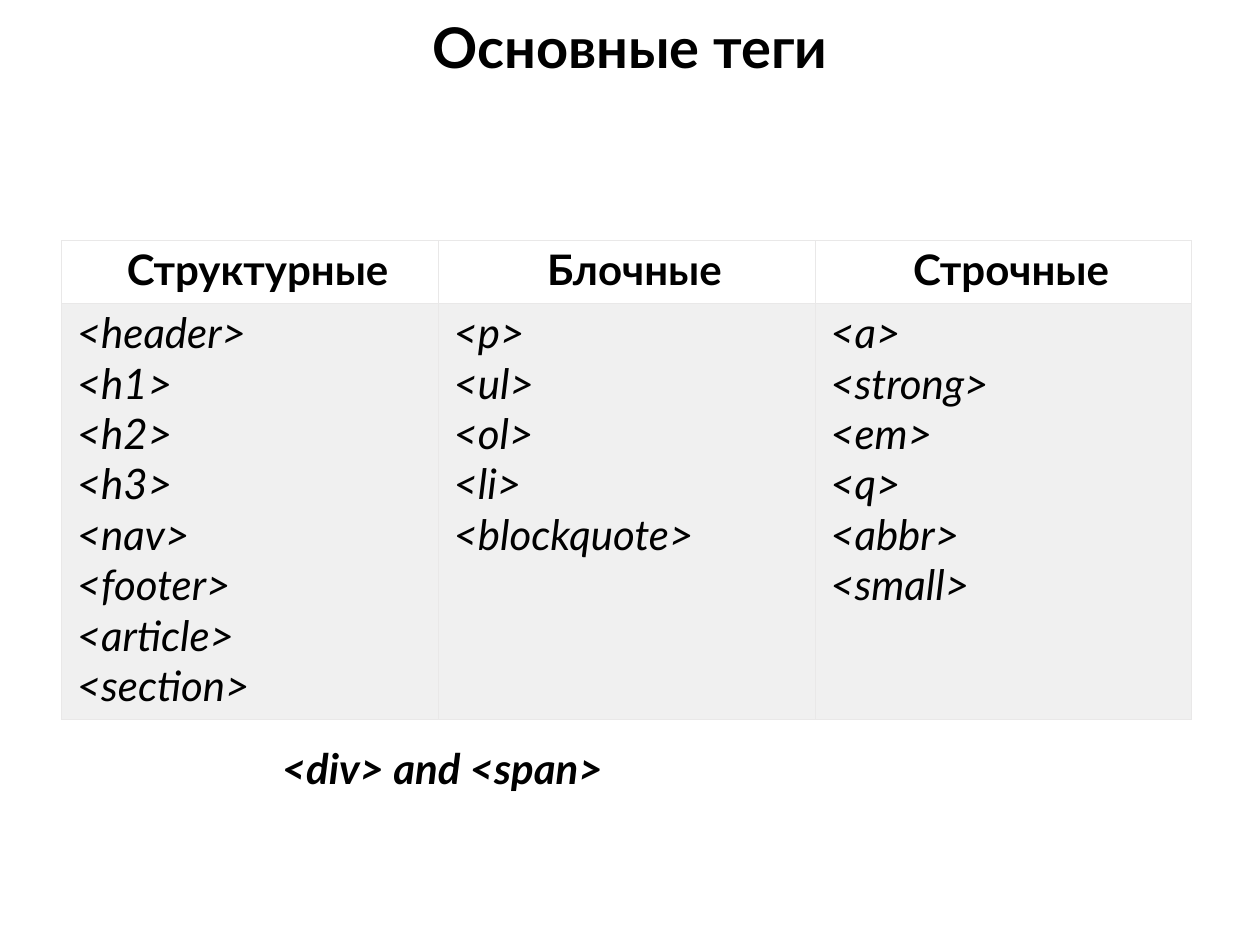
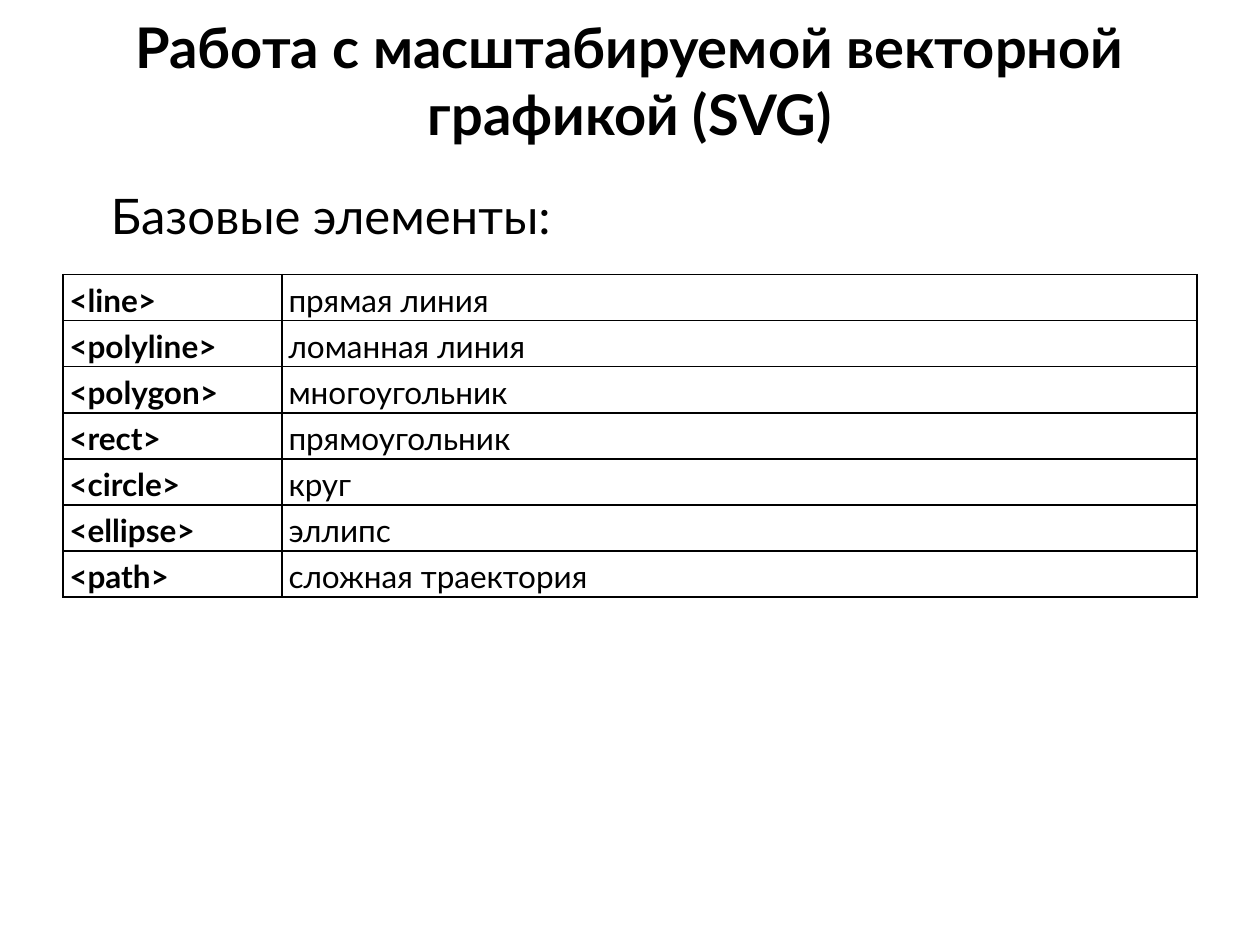
import pptx
import pptx.util
import pptx.dml.color
import pptx.enum.text
import pptx.oxml
import pptx.oxml.ns
from pptx.util import Inches

BLACK = pptx.dml.color.RGBColor(0x00, 0x00, 0x00)
PALE_GREY = pptx.dml.color.RGBColor(0xF0, 0xF0, 0xF0)
BORDER_GREY = pptx.dml.color.RGBColor(0xE9, 0xE8, 0xE8)
FONT = "Lato"
CENTER = pptx.enum.text.PP_ALIGN.CENTER
LEFT = pptx.enum.text.PP_ALIGN.LEFT

TAG_GROUPS = {
    "Структурные": ["<header>", "<h1>", "<h2>", "<h3>", "<nav>", "<footer>",
                    "<article>", "<section>"],
    "Блочные": ["<p>", "<ul>", "<ol>", "<li>", "<blockquote>"],
    "Строчные": ["<a>", "<strong>", "<em>", "<q>", "<abbr>", "<small>"],
}
SVG_ELEMENTS = [
    ("<line>", "прямая линия"),
    ("<polyline>", "ломанная линия"),
    ("<polygon>", "многоугольник"),
    ("<rect>", "прямоугольник"),
    ("<circle>", "круг"),
    ("<ellipse>", "эллипс"),
    ("<path>", "сложная траектория"),
]


def write_lines(frame, lines, size, bold=False, italic=False, align=LEFT,
                space_before=0, line_spacing=None):
    frame.text = "\n".join(lines)
    for para in frame.paragraphs:
        para.alignment = align
        para.line_spacing = line_spacing
        para.font.name = FONT
        para.font.size = pptx.util.Pt(size)
        para.font.bold = bold
        para.font.italic = italic
        para.font.color.rgb = BLACK
    frame.paragraphs[0].space_before = pptx.util.Pt(space_before)


def set_margins(target, left, top, right, bottom):
    target.margin_left, target.margin_top = Inches(left), Inches(top)
    target.margin_right, target.margin_bottom = Inches(right), Inches(bottom)


def add_titled_slide(deck, title, height):
    page = deck.slides.add_slide(deck.slide_layouts[5])
    box = page.shapes.title
    box.left, box.top = Inches(0), Inches(0.05)
    box.width, box.height = deck.slide_width, Inches(height)
    frame = box.text_frame
    frame.word_wrap = True
    frame.auto_size = pptx.enum.text.MSO_AUTO_SIZE.NONE
    frame.vertical_anchor = pptx.enum.text.MSO_ANCHOR.TOP
    write_lines(frame, [title], 32, bold=True, align=CENTER)
    return page


def add_text(page, text, left, top, width, height, size, inset_top, **style):
    box = page.shapes.add_textbox(Inches(left), Inches(top), Inches(width), Inches(height))
    frame = box.text_frame
    frame.word_wrap = True
    set_margins(frame, 0.01, inset_top, 0, 0)
    write_lines(frame, [text], size, **style)


def set_borders(cell, color, width):
    properties = cell._tc.get_or_add_tcPr()
    for index, side in enumerate(("lnL", "lnR", "lnT", "lnB")):
        line = pptx.oxml.parse_xml(
            f'<a:{side} {pptx.oxml.ns.nsdecls("a")} w="{pptx.util.Pt(width)}">'
            f'<a:solidFill><a:srgbClr val="{color}"/></a:solidFill></a:{side}>')
        properties.insert(index, line)


def add_grid(page, left, top, column_widths, row_heights, border_color, border_width):
    frame = page.shapes.add_table(
        len(row_heights), len(column_widths), Inches(left), Inches(top),
        Inches(sum(column_widths)), Inches(sum(row_heights)))
    table = frame.table
    table.first_row = False
    table.horz_banding = False
    for column, width in zip(table.columns, column_widths):
        column.width = Inches(width)
    for row, height in zip(table.rows, row_heights):
        row.height = Inches(height)
    for cell in table.iter_cells():
        cell.fill.background()
        set_borders(cell, border_color, border_width)
    return table


def build_tags_slide(deck):
    page = add_titled_slide(deck, "Основные теги", 0.64)
    table = add_grid(page, 0.49, 1.91, [2.99] * len(TAG_GROUPS), [0.5, 3.3],
                     BORDER_GREY, 0.75)
    for column, (heading, tags) in enumerate(TAG_GROUPS.items()):
        header, body = table.cell(0, column), table.cell(1, column)
        for cell in (header, body):
            set_margins(cell, 0.12, 0.03, 0, 0)
        write_lines(header.text_frame, [heading], 24, bold=True, align=CENTER,
                    space_before=2)
        write_lines(body.text_frame, tags, 24, italic=True, space_before=2.5)
        body.fill.solid()
        body.fill.fore_color.rgb = PALE_GREY
    add_text(page, "<div> and <span>", 0.59, 5.88, 5.83, 0.42, 24, 0.01,
             bold=True, italic=True, align=CENTER, space_before=1)


def build_svg_slide(deck):
    page = add_titled_slide(
        deck, "Работа с масштабируемой векторной графикой (SVG)", 1.18)
    row_count = len(SVG_ELEMENTS)
    table = add_grid(page, 0.5, 2.18, [1.74, 7.26], [2.56 / row_count] * row_count,
                     BLACK, 1)
    for row, texts in enumerate(SVG_ELEMENTS):
        for column, text in enumerate(texts):
            cell = table.cell(row, column)
            set_margins(cell, 0.05, 0.01, 0.05, 0.01)
            write_lines(cell.text_frame, [text], 18, bold=column == 0,
                        line_spacing=1.15)
    add_text(page, "Базовые элементы:", 0.87, 1.39, 8.27, 0.52, 28, 0.07,
             space_before=5.3, line_spacing=pptx.util.Pt(34.6))


def main():
    deck = pptx.Presentation()
    deck.slide_width, deck.slide_height = Inches(10), Inches(7.5)
    build_tags_slide(deck)
    build_svg_slide(deck)
    deck.save("out.pptx")


if __name__ == "__main__":
    main()
